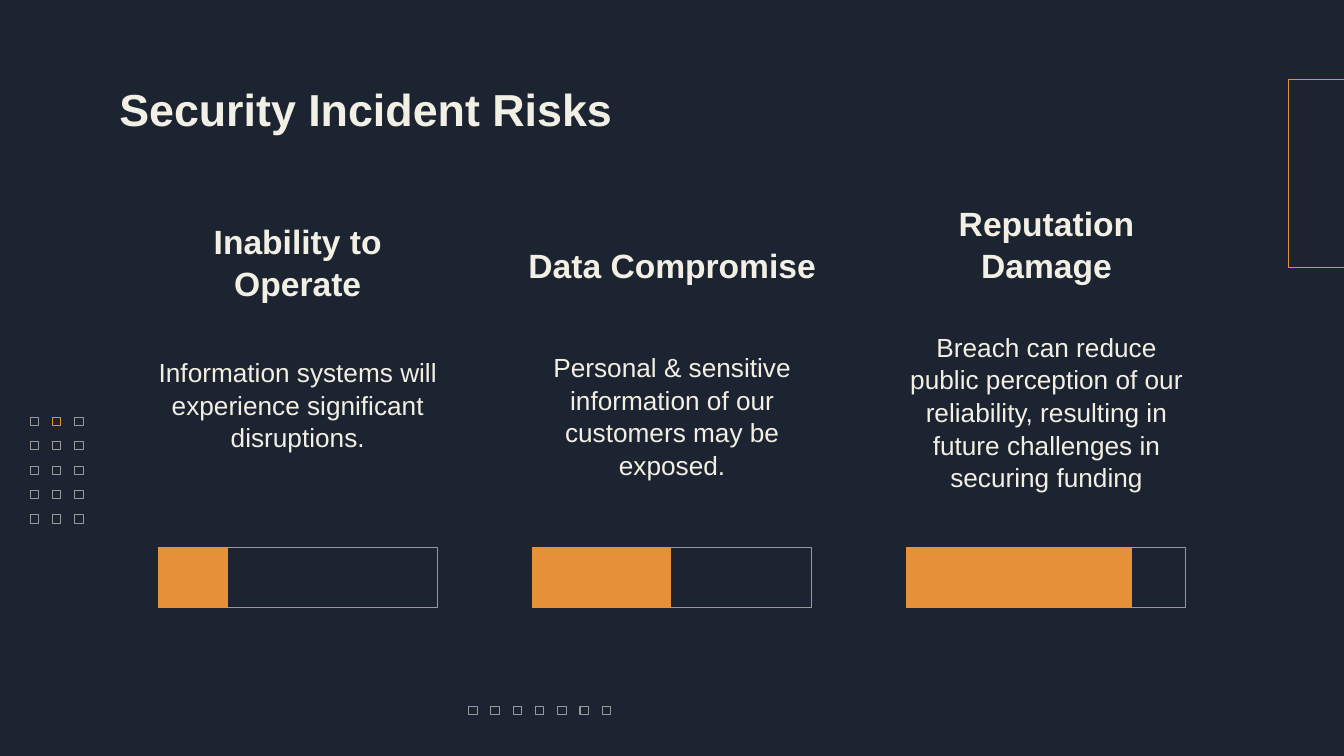
import pptx
import pptx.util
import pptx.dml.color
import pptx.enum.shapes
import pptx.enum.text

Pt = pptx.util.Pt
RGB = pptx.dml.color.RGBColor.from_string
ANCHOR = pptx.enum.text.MSO_ANCHOR
ALIGN = pptx.enum.text.PP_ALIGN

TITLE = "Security Incident Risks"
RISKS = [
    {"heading": "Inability to Operate", "heading_bottom": 226,
     "detail": "Information systems will experience significant disruptions.",
     "detail_top": 244, "detail_height": 125, "level": 0.25},
    {"heading": "Data Compromise", "heading_bottom": 213,
     "detail": "Personal & sensitive information of our customers may be exposed.",
     "detail_top": 240.5, "detail_height": 121, "level": 0.495},
    {"heading": "Reputation Damage", "heading_bottom": 213,
     "detail": "Breach can reduce public perception of our reliability, "
               "resulting in future challenges in securing funding",
     "detail_top": 226, "detail_height": 143.3, "level": 0.805},
]
DOT_GRIDS = [
    {"left": 21.6, "top": 298, "columns": 3, "rows": 5, "accent": (1, 0)},
    {"left": 334.8, "top": 504.7, "columns": 7, "rows": 1, "accent": None},
]
THEME = {"font": "Arial", "background": "1D2431", "text": "F2F0E4",
         "accent": "E69138", "outline": "999999",
         "title": 32, "heading": 24, "detail": 18.7,
         "line": 0.75, "spacing": 1.04, "inset": 9.6}

COLUMN_LEFT, COLUMN_PITCH, COLUMN_WIDTH = 98.6, 267.4, 228.2
HEADING_TOP = 159.1
BAR_INDENT, BAR_TOP, BAR_WIDTH, BAR_HEIGHT = 14.4, 391, 199.4, 42.8
DOT_SIZE, DOT_PITCH_X, DOT_PITCH_Y = 6, 15.9, 17.45


def add_box(slide, left, top, width, height, line, fill=None):
    box = slide.shapes.add_shape(pptx.enum.shapes.MSO_SHAPE.RECTANGLE,
                                 Pt(left), Pt(top), Pt(width), Pt(height))
    box.shadow.inherit = False
    if fill:
        box.fill.solid()
        box.fill.fore_color.rgb = RGB(THEME[fill])
    else:
        box.fill.background()
    box.line.color.rgb = RGB(THEME[line])
    box.line.width = Pt(THEME["line"])


def add_text(slide, words, role, left, top, width, height,
             anchor=ANCHOR.TOP, align=ALIGN.CENTER):
    frame = slide.shapes.add_textbox(Pt(left), Pt(top), Pt(width), Pt(height)).text_frame
    frame.word_wrap = True
    frame.vertical_anchor = anchor
    frame.margin_left = frame.margin_right = Pt(THEME["inset"])
    frame.margin_top = frame.margin_bottom = Pt(THEME["inset"])
    frame.text = words
    paragraph = frame.paragraphs[0]
    paragraph.alignment = align
    paragraph.line_spacing = THEME["spacing"]
    font = paragraph.runs[0].font
    font.name = THEME["font"]
    font.size = Pt(THEME[role])
    font.bold = role != "detail"
    font.color.rgb = RGB(THEME["text"])


def add_dots(slide, grid):
    for row in range(grid["rows"]):
        for column in range(grid["columns"]):
            line = "accent" if (column, row) == grid["accent"] else "outline"
            add_box(slide, grid["left"] + column * DOT_PITCH_X,
                    grid["top"] + row * DOT_PITCH_Y, DOT_SIZE, DOT_SIZE, line)


def add_risk(slide, risk, left):
    add_text(slide, risk["detail"], "detail", left, risk["detail_top"],
             COLUMN_WIDTH, risk["detail_height"])
    add_text(slide, risk["heading"], "heading", left, HEADING_TOP, COLUMN_WIDTH,
             risk["heading_bottom"] - HEADING_TOP, ANCHOR.BOTTOM)
    bar_left = left + BAR_INDENT
    add_box(slide, bar_left, BAR_TOP, BAR_WIDTH, BAR_HEIGHT, "outline")
    add_box(slide, bar_left, BAR_TOP, BAR_WIDTH * risk["level"], BAR_HEIGHT,
            "accent", "accent")


def main():
    deck = pptx.Presentation()
    deck.slide_width, deck.slide_height = Pt(960), Pt(540)
    slide = deck.slides.add_slide(deck.slide_layouts[6])
    slide.background.fill.solid()
    slide.background.fill.fore_color.rgb = RGB(THEME["background"])
    for grid in DOT_GRIDS:
        add_dots(slide, grid)
    add_box(slide, 920.2, 56.7, 134.6, 134.6, "accent")
    add_text(slide, TITLE, "title", 75.6, 46.8, 808.6, 60.5,
             ANCHOR.MIDDLE, ALIGN.LEFT)
    for index, risk in enumerate(RISKS):
        add_risk(slide, risk, COLUMN_LEFT + index * COLUMN_PITCH)
    deck.save("out.pptx")


if __name__ == "__main__":
    main()
